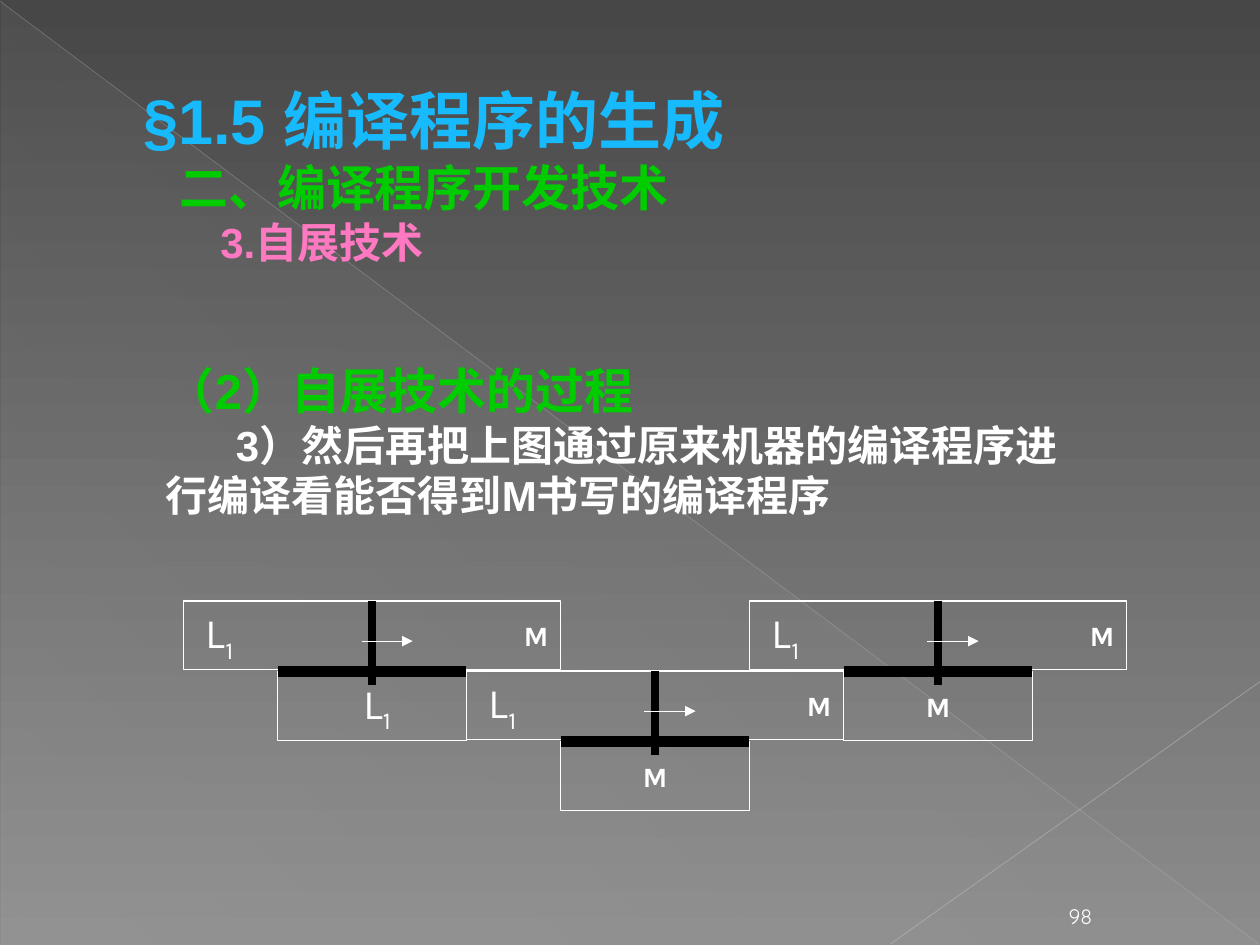
from dataclasses import dataclass

from lxml.etree import SubElement
from pptx import Presentation
from pptx.dml.color import RGBColor
from pptx.enum.shapes import MSO_CONNECTOR, MSO_SHAPE
from pptx.enum.text import MSO_ANCHOR, MSO_AUTO_SIZE, PP_ALIGN
from pptx.oxml.ns import qn
from pptx.util import Pt


@dataclass(frozen=True)
class Theme:
    white: str = "FFFFFF"
    black: str = "000000"
    title: str = "17BBFD"
    green: str = "00CC00"
    pink: str = "FF79C2"
    bg_top: str = "474747"
    bg_bottom: str = "8C8C8C"
    sheen: str = "D2D2D2"
    falling: str = "BFBFBF"
    rising: str = "C6C6C6"
    text_font: str = "Arial"
    label_font: str = "Karla"
    number_font: str = "Quicksand"
    title_size: int = 36
    heading_size: int = 28
    body_size: int = 24
    label_size: int = 16
    number_size: int = 12


THEME = Theme()
BOX_W, BOX_H, ROW_STEP = 107.8, 39.2, 40


def set_alpha(color_parent, percent):
    color = next(color_parent.iter(qn("a:srgbClr")))
    SubElement(color, qn("a:alpha")).set("val", str(percent * 1000))


def set_gradient(fill, colors, angle):
    fill.gradient()
    fill.gradient_angle = angle
    for stop, position, color in zip(fill.gradient_stops, (0, 1), colors):
        stop.position = position
        stop.color.rgb = RGBColor.from_string(color)


def add_run(p, text, size, color, font, bold=False):
    r = p.add_run()
    r.text = text
    r.font.size = Pt(size)
    r.font.name = font
    r.font.bold = bold
    r.font.color.rgb = RGBColor.from_string(color)
    return r


def indent(p, first, left=0):
    pPr = p._p.get_or_add_pPr()
    pPr.set("marL", str(Pt(left)))
    pPr.set("indent", str(Pt(first)))


def add_text_box(s, x, y, w, h, wrap=True):
    tf = s.shapes.add_textbox(Pt(x), Pt(y), Pt(w), Pt(h)).text_frame
    tf.word_wrap = wrap
    tf.auto_size = MSO_AUTO_SIZE.SHAPE_TO_FIT_TEXT
    return tf


def add_lines(tf, lines):
    for i, (text, size, color, first) in enumerate(lines):
        p = tf.paragraphs[0] if i == 0 else tf.add_paragraph()
        indent(p, first)
        add_run(p, text, size, color, THEME.text_font, True)


def add_line(s, x1, y1, x2, y2, color, width, alpha=None, arrow=False):
    line = s.shapes.add_connector(
        MSO_CONNECTOR.STRAIGHT, Pt(x1), Pt(y1), Pt(x2), Pt(y2))
    line.line.color.rgb = RGBColor.from_string(color)
    line.line.width = Pt(width)
    ln = line.line._get_or_add_ln()
    if alpha:
        set_alpha(ln, alpha)
    if arrow:
        SubElement(ln, qn("a:tailEnd")).set("type", "triangle")
    SubElement(line._element.spPr, qn("a:effectLst"))


def add_label_box(s, x, y, label, align):
    sp = s.shapes.add_shape(
        MSO_SHAPE.RECTANGLE, Pt(x), Pt(y), Pt(BOX_W), Pt(BOX_H))
    sp.shadow.inherit = False
    sp.fill.background()
    sp.line.color.rgb = RGBColor.from_string(THEME.white)
    sp.line.width = Pt(0.75)
    tf = sp.text_frame
    tf.vertical_anchor = MSO_ANCHOR.MIDDLE
    p = tf.paragraphs[0]
    p.alignment = align
    if label == "M":
        add_run(p, label, THEME.label_size, THEME.white, THEME.label_font, True)
    else:
        letter, index = label
        add_run(p, " " + letter, THEME.body_size, THEME.white, THEME.label_font)
        r = add_run(p, index, THEME.body_size, THEME.white, THEME.label_font)
        r._r.get_or_add_rPr().set("baseline", "-25000")


def add_t_diagram(s, x, y, source, target, language):
    center, bar_x, bar_y = x + BOX_W, x + BOX_W / 2, y + ROW_STEP + 0.4
    add_label_box(s, x, y, source, PP_ALIGN.LEFT)
    add_label_box(s, center, y, target, PP_ALIGN.RIGHT)
    add_label_box(s, bar_x, bar_y, language, PP_ALIGN.CENTER)
    add_line(s, bar_x, bar_y, bar_x + BOX_W, bar_y, THEME.black, 6)
    add_line(s, center, y, center, y + 48.3, THEME.black, 4.5)
    add_line(s, center - 6, y + 23, center + 23.2, y + 23,
             THEME.white, 0.75, arrow=True)


def add_backdrop(s):
    set_gradient(s.background.fill, (THEME.bg_top, THEME.bg_bottom), 270)
    sp = s.shapes.add_shape(
        MSO_SHAPE.RIGHT_TRIANGLE, Pt(0.7), Pt(1.4), Pt(719.3), Pt(538.6))
    sp.shadow.inherit = False
    sp.line.fill.background()
    set_gradient(sp.fill, (THEME.sheen, THEME.sheen), 227)
    for stop, alpha in zip(sp._element.spPr.iter(qn("a:gs")), (1, 10)):
        set_alpha(stop, alpha)
    add_line(s, 0, 0.7, 719.3, 539.3, THEME.falling, 0.4, alpha=35)
    add_line(s, 720, 389.5, 509, 539.3, THEME.rising, 0.48, alpha=45)


def add_page_number(s, text):
    tf = add_text_box(s, 597.6, 510.5, 39.6, 23.8)
    tf.auto_size = MSO_AUTO_SIZE.NONE
    tf.vertical_anchor = MSO_ANCHOR.BOTTOM
    p = tf.paragraphs[0]
    p.alignment = PP_ALIGN.CENTER
    add_run(p, text, THEME.number_size, THEME.white, THEME.number_font)


def main():
    prs = Presentation()
    prs.slide_width, prs.slide_height = Pt(720), Pt(540)
    s = prs.slides.add_slide(prs.slide_layouts[6])
    add_backdrop(s)
    add_page_number(s, "98")
    add_lines(add_text_box(s, 74.9, 43.2, 355, 113, wrap=False), [
        ("§1.5 编译程序的生成", THEME.title_size, THEME.title, 0),
        ("二、编译程序开发技术", THEME.heading_size, THEME.green, 20.5),
        ("3.自展技术", THEME.body_size, THEME.pink, 44),
    ])
    add_lines(add_text_box(s, 87.8, 202.3, 532.8, 98.6), [
        ("（2）自展技术的过程", THEME.heading_size, THEME.green, 0),
        ("3）然后再把上图通过原来机器的编译程序进行编译看能否得到M书写的编译程序",
         THEME.body_size, THEME.white, 40),
    ])
    left, top = 104.8, 343.4
    for i, (row, language) in enumerate([(0, "L1"), (1, "M"), (0, "M")]):
        add_t_diagram(s, left + i * 1.5 * BOX_W, top + row * ROW_STEP,
                      "L1", "M", language)
    prs.save("out.pptx")


if __name__ == "__main__":
    main()
